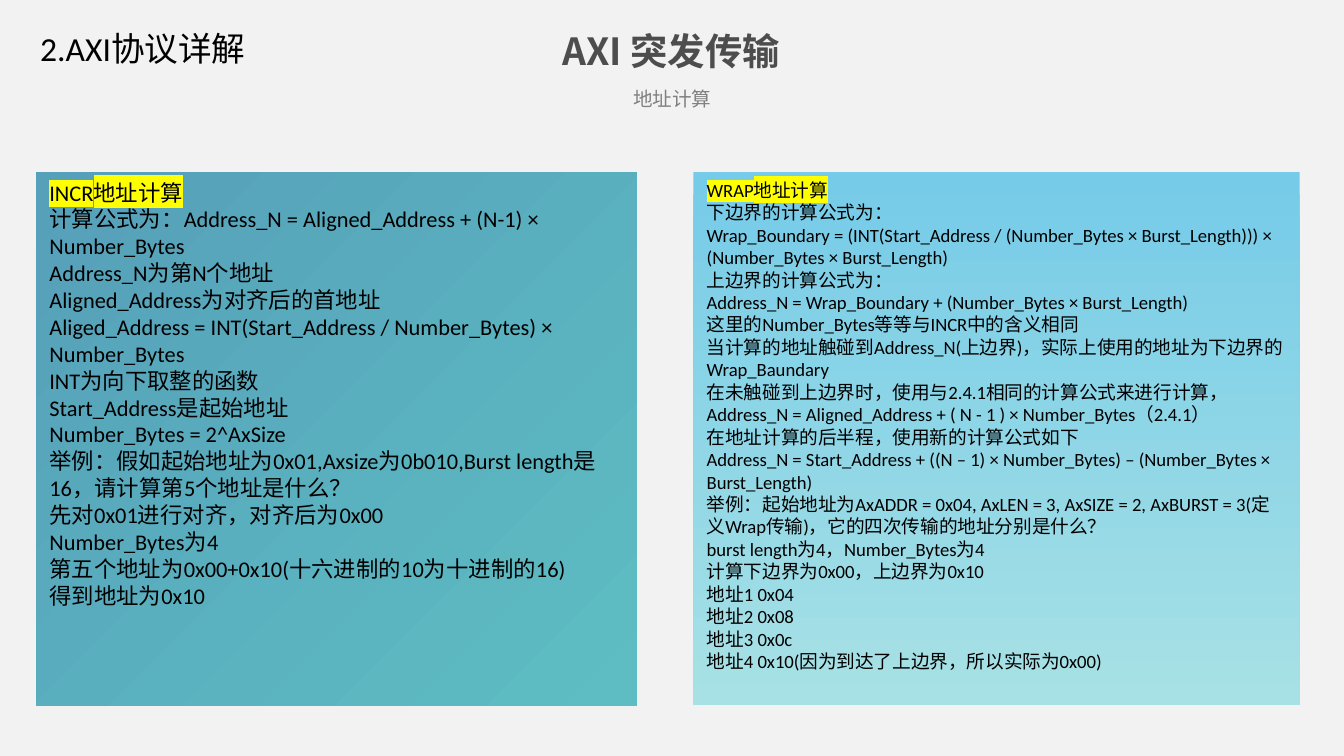
from lxml import etree
from pptx import Presentation
from pptx import util as u
from pptx.dml.color import RGBColor
from pptx.enum import shapes, text
from pptx.oxml.ns import qn

PAPER = RGBColor(0xF2, 0xF2, 0xF2)
BLACK = RGBColor(0, 0, 0)
DARK = RGBColor(0x4D, 0x4D, 0x4D)
GRAY = RGBColor(0x80, 0x80, 0x80)
TEAL = (RGBColor(0x56, 0xA0, 0xB9), RGBColor(0x5D, 0xBD, 0xC3))
SKY = (RGBColor(0x76, 0xCB, 0xE8), RGBColor(0xA7, 0xE1, 0xE5))
MARK = RGBColor(0xFF, 0xFF, 0)
LATIN, HAN = "Calibri", "Noto Sans CJK SC"

# Headings: words, place (left, top, width, height), alignment, font
HEADS = [
    ("2.AXI协议详解", (14.4, 11.5, 158.4, 28.8), text.PP_ALIGN.LEFT,
     {"size": u.Pt(18), "name": LATIN, "color": BLACK}),
    ("AXI 突发传输", (245.5, 11.5, 228.2, 31.7), text.PP_ALIGN.CENTER,
     {"size": u.Pt(20), "name": HAN, "color": DARK, "bold": True}),
    ("地址计算", (228.2, 43.2, 264.2, 20.2), text.PP_ALIGN.CENTER,
     {"size": u.Pt(10.5), "name": LATIN, "color": GRAY}),
]

INCR = [
    "INCR地址计算",
    "计算公式为：Address_N = Aligned_Address + (N-1) × Number_Bytes",
    "Address_N为第N个地址",
    "Aligned_Address为对齐后的首地址",
    "Aliged_Address = INT(Start_Address / Number_Bytes) × Number_Bytes",
    "INT为向下取整的函数",
    "Start_Address是起始地址",
    "Number_Bytes = 2^AxSize",
    "举例：假如起始地址为0x01,Axsize为0b010,Burst length是16，请计算第5个地址是什么？",
    "先对0x01进行对齐，对齐后为0x00",
    "Number_Bytes为4",
    "第五个地址为0x00+0x10(十六进制的10为十进制的16)",
    "得到地址为0x10",
]
WRAP = [
    "WRAP地址计算",
    "下边界的计算公式为：",
    "Wrap_Boundary = (INT(Start_Address / (Number_Bytes × Burst_Length))) × (Number_Bytes × Burst_Length)",
    "上边界的计算公式为：",
    "Address_N = Wrap_Boundary + (Number_Bytes × Burst_Length)",
    "这里的Number_Bytes等等与INCR中的含义相同",
    "当计算的地址触碰到Address_N(上边界)，实际上使用的地址为下边界的Wrap_Baundary",
    "在未触碰到上边界时，使用与2.4.1相同的计算公式来进行计算，",
    "Address_N = Aligned_Address + ( N - 1 ) × Number_Bytes（2.4.1）",
    "在地址计算的后半程，使用新的计算公式如下",
    "Address_N = Start_Address + ((N – 1) × Number_Bytes) – (Number_Bytes × Burst_Length)",
    "举例：起始地址为AxADDR = 0x04, AxLEN = 3, AxSIZE = 2, AxBURST = 3(定义Wrap传输)，它的四次传输的地址分别是什么？",
    "burst length为4，Number_Bytes为4",
    "计算下边界为0x00，上边界为0x10",
    "地址1 0x04",
    "地址2 0x08",
    "地址3 0x0c",
    "地址4 0x10(因为到达了上边界，所以实际为0x00)",
]

# Panels: lines, left, width, text size, gradient colours, clockwise angle
TOP, HIGH = 92.2, 285.8
PANELS = [
    (INCR, 19.4, 321.8, 12, TEAL, 45),
    (WRAP, 371.5, 324.7, 10, SKY, 90),
]


def style(run, form):
    for key, val in form.items():
        if key == "color":
            run.font.color.rgb = val
        else:
            setattr(run.font, key, val)


def mark(run):
    fill = run.font._element.find(qn("a:solidFill"))
    high = etree.Element(qn("a:highlight"))
    etree.SubElement(high, qn("a:srgbClr"), val=str(MARK))
    fill.addnext(high)


def write(frame, lines, align, form):
    frame.word_wrap = True
    frame.vertical_anchor = text.MSO_ANCHOR.TOP
    for i, line in enumerate(lines):
        para = frame.paragraphs[0] if i == 0 else frame.add_paragraph()
        para.alignment = align
        run = para.add_run()
        run.text = line
        style(run, form)


deck = Presentation()
deck.slide_width, deck.slide_height = u.Pt(720), u.Pt(405)
slide = deck.slides.add_slide(deck.slide_layouts[6])
slide.background.fill.solid()
slide.background.fill.fore_color.rgb = PAPER

# Section name, title and subtitle
for words, place, align, form in HEADS:
    box = slide.shapes.add_textbox(*map(u.Pt, place))
    write(box.text_frame, [words], align, form)
    box.text_frame.auto_size = text.MSO_AUTO_SIZE.SHAPE_TO_FIT_TEXT

# Two gradient panels, each with a marked first line
for lines, left, wide, size, tones, angle in PANELS:
    panel = slide.shapes.add_shape(
        shapes.MSO_SHAPE.RECTANGLE, *map(u.Pt, (left, TOP, wide, HIGH)))
    panel.shadow.inherit = False
    panel.line.fill.background()
    panel.fill.gradient()
    panel.fill.gradient_angle = 360 - angle
    for stop, tone in zip(panel.fill.gradient_stops, tones):
        stop.color.rgb = tone
    write(panel.text_frame, lines, text.PP_ALIGN.LEFT,
          {"size": u.Pt(size), "name": LATIN, "color": BLACK})
    mark(panel.text_frame.paragraphs[0].runs[0])

deck.save("out.pptx")
